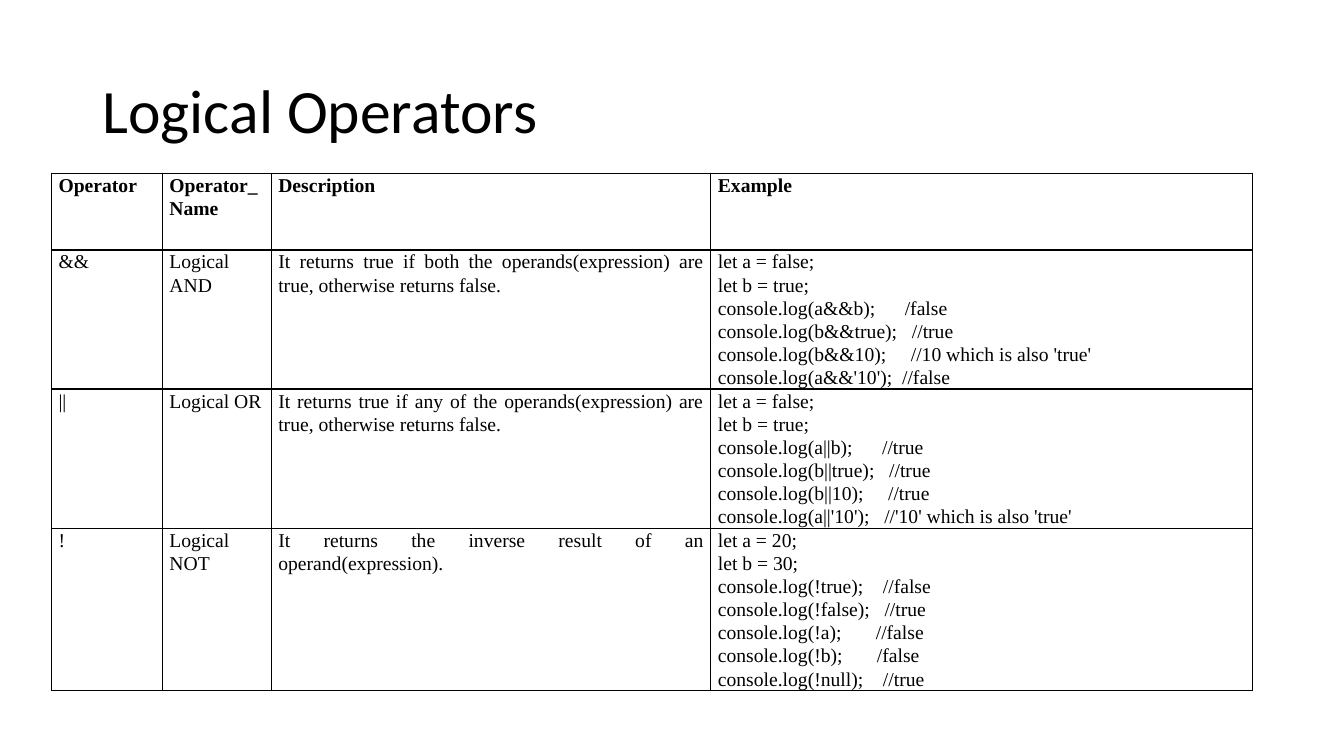
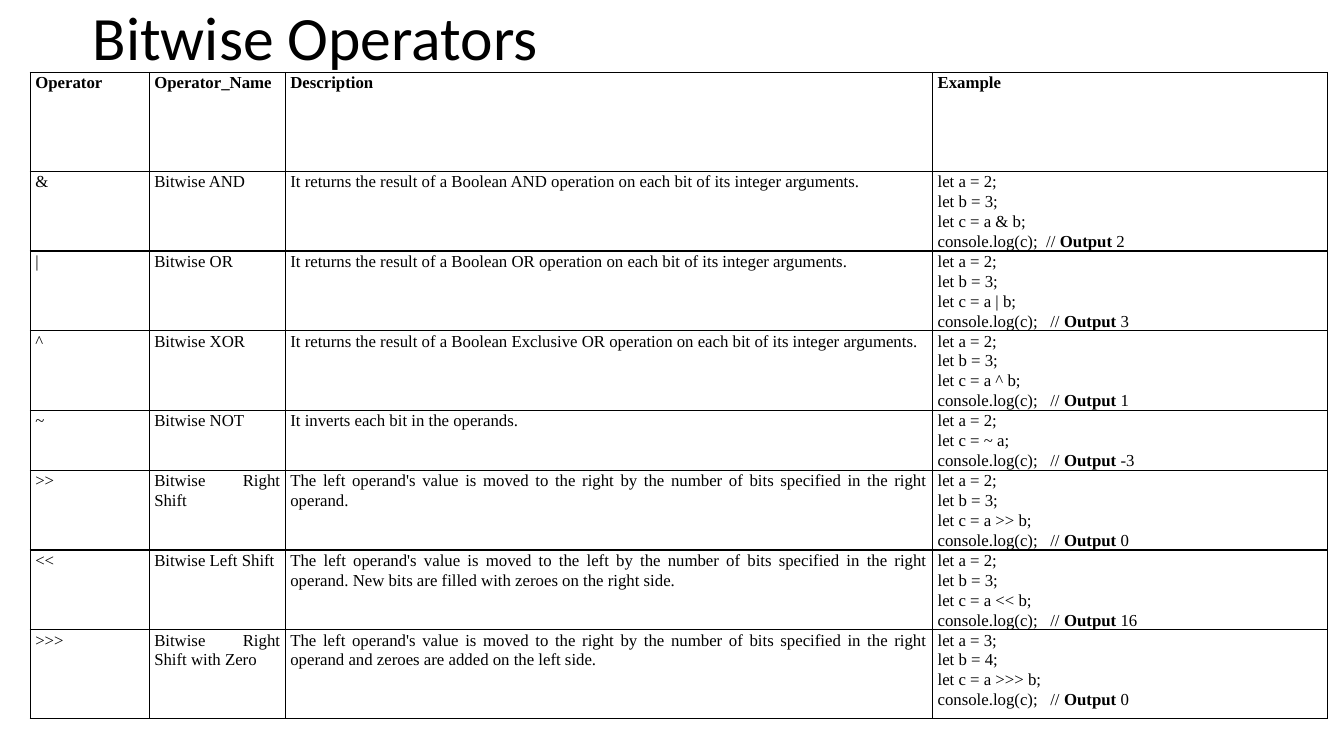
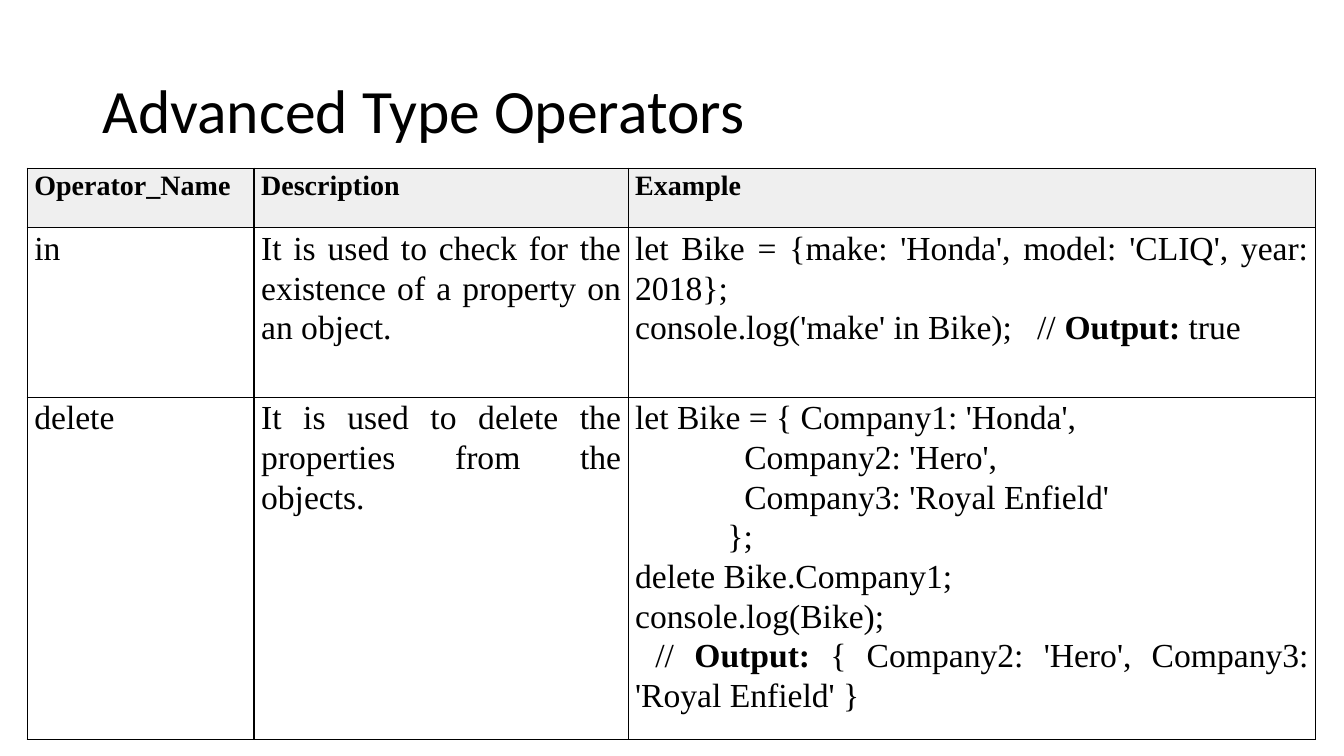
from dataclasses import dataclass

from lxml import etree
from pptx import Presentation, util as u
from pptx.dml.color import RGBColor
from pptx.enum import text as t
from pptx.oxml.ns import qn


@dataclass(frozen=True)
class Theme:
    ink: str = "000000"
    shade: str = "EFEFEF"
    head: str = "Calibri"
    body: str = "Times New Roman"
    title: int = 44
    rule: float = 1
    tight: float = 0.9
    loose: float = 1.07


THEME = Theme()
WIDE, HIGH = u.Inches(13.33), u.Inches(7.5)
# Boxes are left, top, width, height in percent of the slide.
TITLE = (6.88, 5.33, 86.27, 19.33)


def put(item, values):
    for name, value in values.items():
        setattr(item, name, value)


def scale(box):
    return [round(part * side / 100) for part, side in zip(box, (WIDE, HIGH) * 2)]


def style(font, face, size, bold=False):
    put(font, {"name": face, "size": u.Pt(size), "bold": bold})
    font.color.rgb = RGBColor.from_string(THEME.ink)


def add_title(slide, words, box):
    title = slide.shapes.title
    put(title, dict(zip(("left", "top", "width", "height"), scale(box))))
    frame = title.text_frame
    put(frame, {"text": words, "word_wrap": True,
                "auto_size": t.MSO_AUTO_SIZE.NONE,
                "vertical_anchor": t.MSO_ANCHOR.MIDDLE})
    para = frame.paragraphs[0]
    put(para, {"alignment": t.PP_ALIGN.LEFT, "line_spacing": THEME.tight})
    style(para.runs[0].font, THEME.head, THEME.title)


def add_rules(cell):
    props = cell._tc.get_or_add_tcPr()
    for side in ("lnL", "lnR", "lnT", "lnB"):
        line = etree.SubElement(props, qn(f"a:{side}"), w=str(u.Pt(THEME.rule)))
        fill = etree.SubElement(line, qn("a:solidFill"))
        etree.SubElement(fill, qn("a:srgbClr"), val=THEME.ink)


def fill_cell(cell, words, size, bold, inset, shade):
    """Write one cell; text between ** marks is bold."""
    put(cell, {"margin_left": u.Inches(inset), "margin_right": u.Inches(inset),
               "margin_top": 0, "margin_bottom": 0})
    add_rules(cell)
    if shade:
        cell.fill.solid()
        cell.fill.fore_color.rgb = RGBColor.from_string(shade)
    else:
        cell.fill.background()
    frame = cell.text_frame
    for row, line in enumerate(words.split("\n")):
        para = frame.add_paragraph() if row else frame.paragraphs[0]
        put(para, {"alignment": t.PP_ALIGN.JUSTIFY, "line_spacing": THEME.loose})
        for part, chunk in enumerate(line.split("**")):
            if chunk:
                run = para.add_run()
                run.text = chunk
                style(run.font, THEME.body, size, bold or part % 2 == 1)


def add_grid(slide, box, cols, rows, cells, sizes, inset, shade=None):
    """Split the box by column and row weights and fill its cells."""
    left, top, width, height = scale(box)
    frame = slide.shapes.add_table(len(rows), len(cols), left, top, width, height)
    table = frame.table
    put(table, {"first_row": False, "horz_banding": False})
    for col, part in zip(table.columns, cols):
        col.width = round(width * part / sum(cols))
    for row, part in zip(table.rows, rows):
        row.height = round(height * part / sum(rows))
    for r, line in enumerate(cells):
        top_row = r == 0
        for c, words in enumerate(line):
            fill_cell(table.cell(r, c), words, sizes[0 if top_row else 1],
                      top_row, inset, shade if top_row else None)


def add_page(deck, name, grid, box=TITLE):
    slide = deck.slides.add_slide(deck.slide_layouts[5])
    add_title(slide, name, box)
    add_grid(slide, **grid)


def demo(expr, out, a=2, b=3, gap="   "):
    """Sample code that logs one bitwise result."""
    lines = [f"let a = {a};"]
    if b is not None:
        lines.append(f"let b = {b};")
    lines += [f"let c = {expr};", f"console.log(c);{gap}// **Output** {out}"]
    return "\n".join(lines)


HEADS = ("Operator", "Operator_Name", "Description", "Example")
BOOL = "It returns the result of a Boolean {} operation on each bit of its integer arguments."
MOVE = "The left operand's value is moved to the {} by the number of bits specified in the right operand"

LOGIC = [
    HEADS,
    ("&&", "Logical AND",
     "It returns true if both the operands(expression) are true, otherwise returns false.",
     """let a = false;
let b = true;
console.log(a&&b);      /false
console.log(b&&true);   //true
console.log(b&&10);     //10 which is also 'true'
console.log(a&&'10');  //false"""),
    ("||", "Logical OR",
     "It returns true if any of the operands(expression) are true, otherwise returns false.",
     """let a = false;
let b = true;
console.log(a||b);      //true
console.log(b||true);   //true
console.log(b||10);     //true
console.log(a||'10');   //'10' which is also 'true'"""),
    ("!", "Logical NOT",
     "It returns the inverse result of an operand(expression).",
     """let a = 20;
let b = 30;
console.log(!true);    //false
console.log(!false);   //true
console.log(!a);       //false
console.log(!b);       /false
console.log(!null);    //true"""),
]

BITS = [
    HEADS,
    ("&", "Bitwise AND", BOOL.format("AND"), demo("a & b", 2, gap="  ")),
    ("|", "Bitwise OR", BOOL.format("OR"), demo("a | b", 3)),
    ("^", "Bitwise XOR", BOOL.format("Exclusive OR"), demo("a ^ b", 1)),
    ("~", "Bitwise NOT", "It inverts each bit in the operands.",
     demo("~ a", -3, b=None)),
    (">>", "Bitwise Right Shift", MOVE.format("right") + ".", demo("a >> b", 0)),
    ("<<", "Bitwise Left Shift",
     MOVE.format("left") + ". New bits are filled with zeroes on the right side.",
     demo("a << b", 16)),
    (">>>", "Bitwise Right Shift with Zero",
     MOVE.format("right") + " and zeroes are added on the left side.",
     demo("a >>> b", 0, a=3, b=4)),
]

TYPES = [
    HEADS[1:],
    ("in", "It is used to check for the existence of a property on an object.",
     """let Bike = {make: 'Honda', model: 'CLIQ', year: 2018};
console.log('make' in Bike);   // **Output:** true"""),
    ("delete", "It is used to delete the properties from the objects.",
     """let Bike = { Company1: 'Honda',
             Company2: 'Hero',
             Company3: 'Royal Enfield'
           };
delete Bike.Company1;
console.log(Bike);
 // **Output:** { Company2: 'Hero', Company3: 'Royal Enfield' }"""),
]


def main():
    deck = Presentation()
    put(deck, {"slide_width": WIDE, "slide_height": HIGH})
    add_page(deck, "Logical Operators", {
        "box": (3.83, 22.93, 89.35, 63.33), "cells": LOGIC,
        "cols": (1.1, 1.08, 4.36, 5.37), "rows": (0.76, 1.33, 1.33, 1.33),
        "sizes": (14, 14), "inset": 0.07})
    add_page(deck, "Bitwise Operators", {
        "box": (2.25, 9.6, 96.55, 69.87), "cells": BITS,
        "cols": (1.18, 1.35, 6.42, 3.92),
        "rows": (0.98, 0.5, 0.5, 0.5, 0.5, 0.63, 0.75, 0.88),
        "sizes": (12, 12), "inset": 0.05}, box=(6.15, 0, 86.27, 10.8))
    add_page(deck, "Advanced Type Operators", {
        "box": (2.03, 22.27, 95.87, 75.6), "cells": TYPES,
        "cols": (2.25, 3.71, 6.82), "rows": (0.59, 1.68, 3.4),
        "sizes": (20, 24), "inset": 0.07, "shade": THEME.shade})
    deck.save("out.pptx")


if __name__ == "__main__":
    main()
